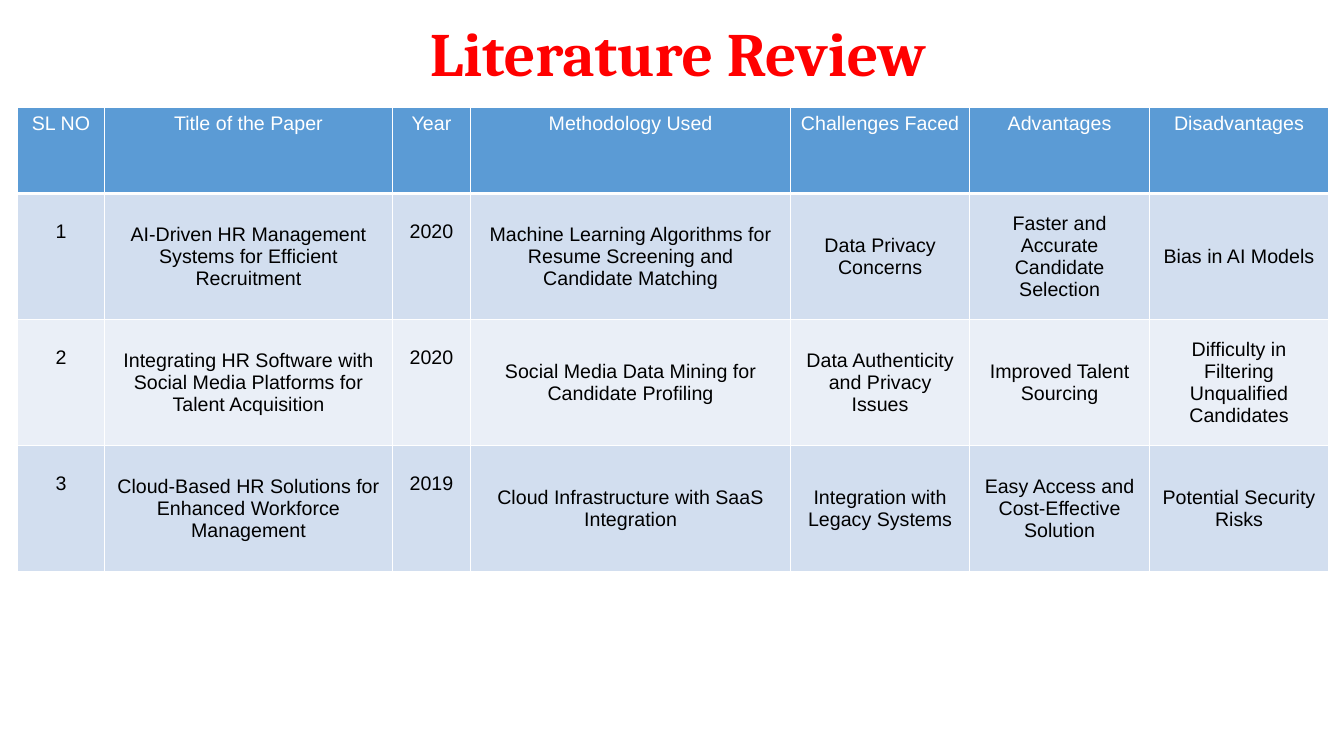
from dataclasses import dataclass

from lxml.etree import SubElement
from pptx import Presentation
from pptx.dml.color import RGBColor as RGB
from pptx.enum.text import MSO_ANCHOR as Anchor, PP_ALIGN as Align
from pptx.oxml.ns import qn
from pptx.util import Inches, Pt

# Fine grid: 1333 columns by 750 rows, one unit in each direction
GRID_COLUMNS, GRID_ROWS = 1333, 750
UNIT = Inches(0.01)


@dataclass(frozen=True)
class Theme:
    title_font: str = "Cambria"
    table_font: str = "Arial"
    title_size: int = 44
    table_size: int = 14
    title: str = "FF0000"
    header_text: str = "FFFFFF"
    body_text: str = "000000"
    header_fill: str = "5B9BD5"
    bands: tuple = ("D2DEEF", "EAEFF7")
    rule: str = "FFFFFF"
    thin: int = 1
    thick: int = 3


THEME = Theme()

# Heading and width in grid columns
COLUMNS = [
    ("SL NO", 87),
    ("Title of the Paper", 285),
    ("Year", 78),
    ("Methodology Used", 317),
    ("Challenges Faced", 178),
    ("Advantages", 178),
    ("Disadvantages", 178),
]
HEADER_HEIGHT, PAPER_HEIGHT = 85, 125
ONE_LINE_DOWN = 27  # top margin of the number and year cells
TOP_COLUMNS = ("SL NO", "Year")

PAPERS = [
    ("1", "AI-Driven HR Management Systems for Efficient Recruitment", "2020",
     "Machine Learning Algorithms for Resume Screening and Candidate Matching",
     "Data Privacy Concerns", "Faster and Accurate Candidate Selection",
     "Bias in AI Models"),
    ("2", "Integrating HR Software with Social Media Platforms for Talent Acquisition",
     "2020", "Social Media Data Mining for Candidate Profiling",
     "Data Authenticity and Privacy Issues", "Improved Talent Sourcing",
     "Difficulty in Filtering Unqualified Candidates"),
    ("3", "Cloud-Based HR Solutions for Enhanced Workforce Management", "2019",
     "Cloud Infrastructure with SaaS Integration",
     "Integration with Legacy Systems", "Easy Access and Cost-Effective Solution",
     "Potential Security Risks"),
]


def grid(*counts):
    return [count * UNIT for count in counts]


def apply(target, values):
    for name, value in values.items():
        setattr(target, name, value)


def write(frame, wording, color, font, **paragraph_format):
    paragraph = frame.paragraphs[0]
    apply(paragraph, {"alignment": Align.CENTER, **paragraph_format})
    run = paragraph.add_run()
    run.text = wording
    apply(run.font, font)
    run.font.color.rgb = RGB.from_string(color)


def add_title(slide, wording):
    frame = slide.shapes.add_textbox(*grid(89, 30, 1167, 53)).text_frame
    apply(frame, {"word_wrap": True, "vertical_anchor": Anchor.MIDDLE})
    write(frame, wording, THEME.title,
          {"name": THEME.title_font, "size": Pt(THEME.title_size), "bold": True},
          line_spacing=0.9)


def rule_cell(cell, bottom):
    properties = cell._tc.get_or_add_tcPr()
    widths = {"L": THEME.thin, "R": THEME.thin, "T": THEME.thin, "B": bottom}
    for side, width in widths.items():
        line = SubElement(properties, qn(f"a:ln{side}"), w=str(Pt(width)))
        fill = SubElement(line, qn("a:solidFill"))
        SubElement(fill, qn("a:srgbClr"), val=THEME.rule)


def fill_cell(cell, wording, color, background, bottom, layout):
    apply(cell, layout)
    rule_cell(cell, bottom)
    cell.fill.solid()
    cell.fill.fore_color.rgb = RGB.from_string(background)
    write(cell.text_frame, wording, color,
          {"name": THEME.table_font, "size": Pt(THEME.table_size), "bold": False})


def add_review_table(slide):
    headings, widths = zip(*COLUMNS)
    heights = [HEADER_HEIGHT] + [PAPER_HEIGHT] * len(PAPERS)
    table = slide.shapes.add_table(
        len(heights), len(widths), *grid(17, 107, sum(widths), sum(heights))).table
    apply(table, {"first_row": False, "horz_banding": False})
    for column, width in zip(table.columns, grid(*widths)):
        column.width = width
    for row, height in zip(table.rows, grid(*heights)):
        row.height = height

    # Heading row
    for cell, heading in zip(table.rows[0].cells, headings):
        fill_cell(cell, heading, THEME.header_text, THEME.header_fill,
                  THEME.thick, {"vertical_anchor": Anchor.TOP})

    # One banded row for each paper
    for index, paper in enumerate(PAPERS):
        band = THEME.bands[index % len(THEME.bands)]
        for cell, heading, wording in zip(table.rows[index + 1].cells, headings, paper):
            layout = {"vertical_anchor": Anchor.MIDDLE}
            if heading in TOP_COLUMNS:
                layout = {"vertical_anchor": Anchor.TOP,
                          "margin_top": ONE_LINE_DOWN * UNIT}
            fill_cell(cell, wording, THEME.body_text, band, THEME.thin, layout)


def main():
    deck = Presentation()
    apply(deck, {"slide_width": GRID_COLUMNS * UNIT, "slide_height": GRID_ROWS * UNIT})
    slide = deck.slides.add_slide(deck.slide_layouts[6])
    add_title(slide, "Literature Review")
    add_review_table(slide)
    deck.save("out.pptx")


if __name__ == "__main__":
    main()
